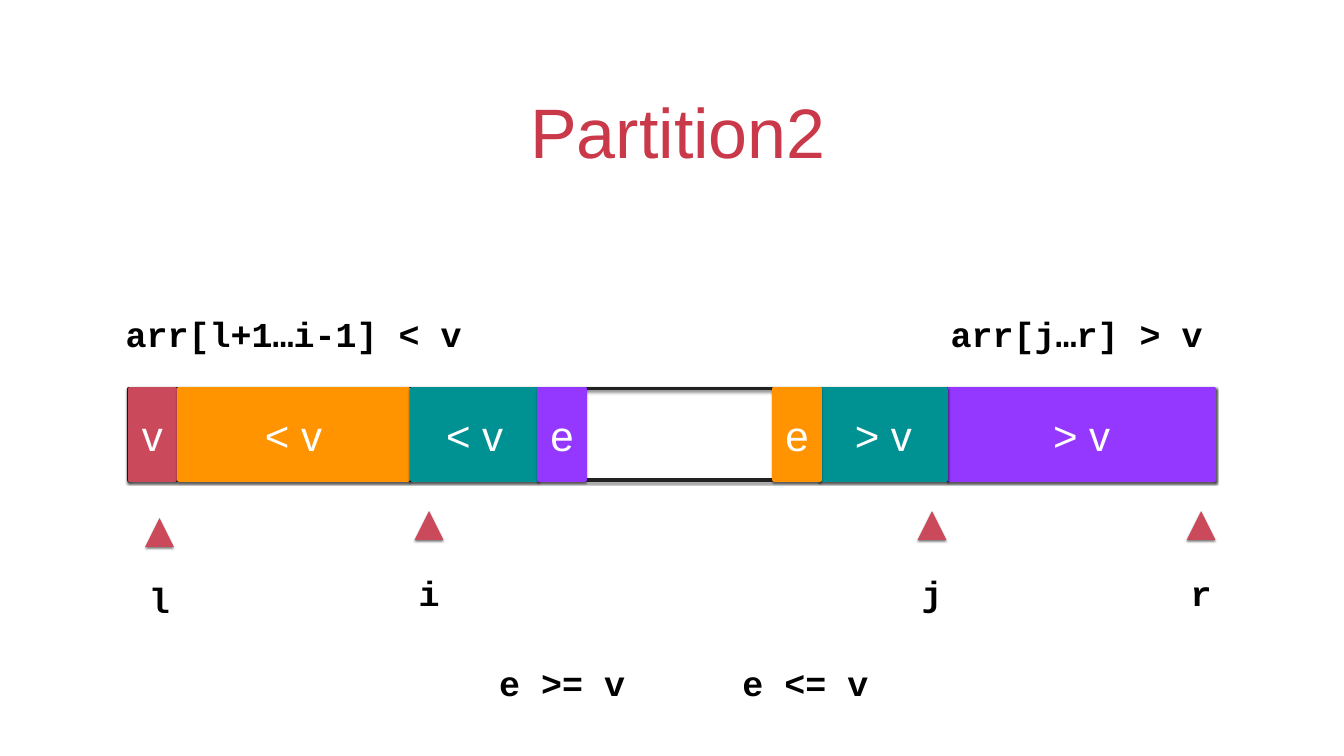
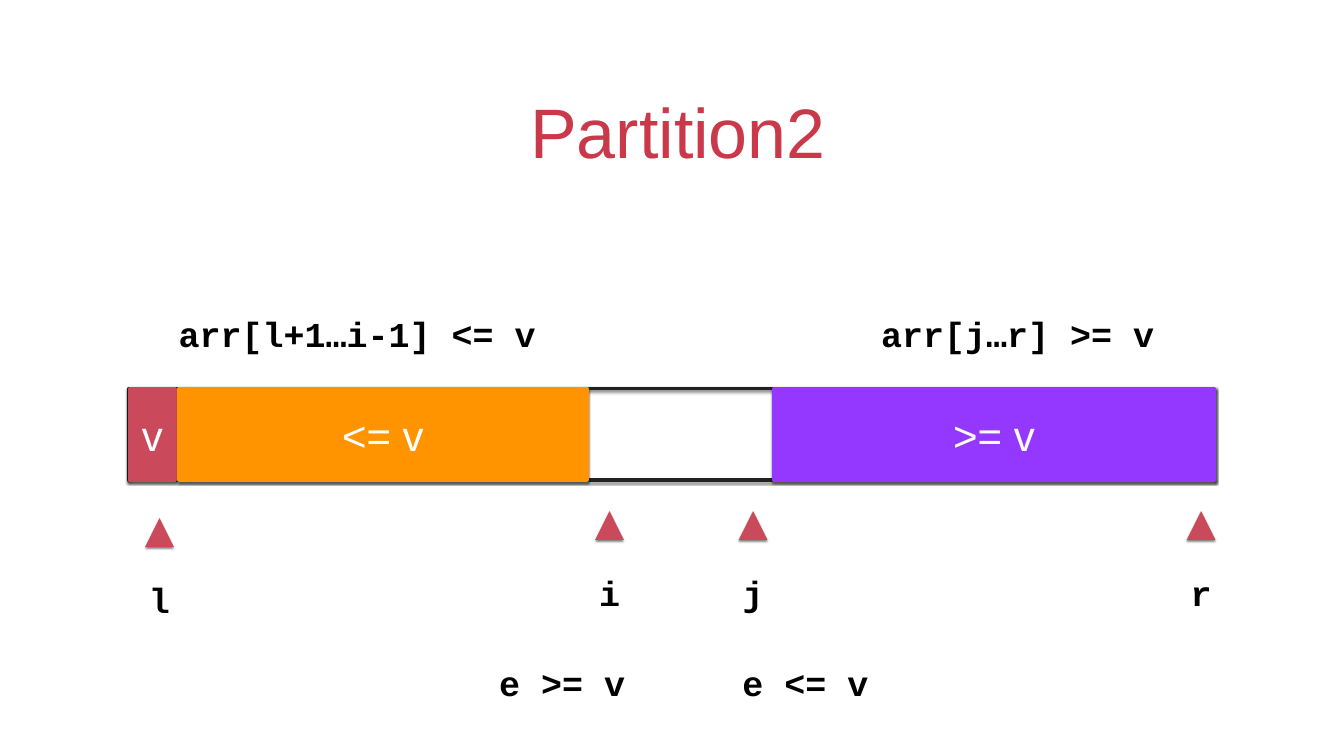
from lxml import etree
from pptx import Presentation
from pptx.dml.color import RGBColor
from pptx.enum import shapes, text
from pptx.oxml import ns
from pptx.util import Inches, Pt

TITLE_RED = RGBColor(0xC9, 0x39, 0x4A)
RED = RGBColor(0xCA, 0x49, 0x5A)
ORANGE = RGBColor(0xFF, 0x93, 0x00)
PURPLE = RGBColor(0x94, 0x37, 0xFF)
TEAL = RGBColor(0x00, 0x91, 0x93)
FRAME_GREY = RGBColor(0x21, 0x21, 0x21)
BLACK = RGBColor(0, 0, 0)
WHITE = RGBColor(255, 255, 255)

BODY_FONT, CODE_FONT = "Arial", "Courier New"
INSET = 0.06
BAR_TOP, BAR_HEIGHT = 7.71, 1.81
FRAME_LEFT, FRAME_WIDTH = 2.56, 21.54
RANGE_TOP, CONDITION_TOP, LABEL_HEIGHT = 6.16, 13.08, 0.92
POINTER_TOP, POINTER_WIDTH, POINTER_HEIGHT = 10.14, 0.57, 0.57
POINTER_LABEL_DROP, POINTER_LABEL_WIDTH = 1.16, 0.54

TITLE = "Partition2"
# Cells: text, left, width, colour
PIVOT = ("v", 2.57, 0.91, RED)
# Pointers: name, left, top
END_POINTERS = [("r", 23.55, POINTER_TOP), ("l", 2.88, 10.28)]
# Labels: text, left, width
CONDITIONS = [("e >= v", 9.84, 2.63), ("e <= v", 14.67, 2.63)]

SLIDES = [
    {
        "cells": [
            PIVOT,
            ("< v", 3.55, 4.55, ORANGE),
            ("> v", 18.83, 5.27, PURPLE),
            ("< v", 8.17, 2.5, TEAL),
            ("e", 10.7, 0.91, PURPLE),
            ("> v", 16.28, 2.5, TEAL),
            ("e", 15.36, 0.91, ORANGE),
        ],
        "ranges": [("arr[l+1…i-1] < v", 2.04, 7.58),
                   ("arr[j…r] > v", 18.56, 5.61)],
        "pointers": [("j", 18.21, POINTER_TOP), ("i", 8.23, POINTER_TOP)],
    },
    {
        "cells": [
            PIVOT,
            ("<= v", 3.55, 8.1, ORANGE),
            (">= v", 15.35, 8.75, PURPLE),
        ],
        "ranges": [("arr[l+1…i-1] <= v", 3.3, 7.58),
                   ("arr[j…r] >= v", 17.39, 5.61)],
        "pointers": [("j", 14.66, POINTER_TOP), ("i", 11.81, POINTER_TOP)],
    },
]


def add_shadow(shape):
    """Give a shape a soft half-transparent shadow straight below it."""
    shape.shadow.inherit = False
    effects = shape._element.spPr.find(ns.qn("a:effectLst"))
    shadow = etree.SubElement(
        effects, ns.qn("a:outerShdw"), blurRad=str(Pt(3)), dist=str(Pt(2)),
        dir="5400000", rotWithShape="0")
    colour = etree.SubElement(shadow, ns.qn("a:srgbClr"), val=str(BLACK))
    etree.SubElement(colour, ns.qn("a:alpha"), val="50000")


def write(shape, content, size, font, colour, bold=False, wrap=True,
          anchor=text.MSO_ANCHOR.MIDDLE):
    """Write one centred run into a shape and return its paragraph."""
    frame = shape.text_frame
    frame.word_wrap = wrap
    frame.vertical_anchor = anchor
    frame.margin_left = frame.margin_right = Inches(INSET)
    frame.margin_top = frame.margin_bottom = Inches(INSET)
    paragraph = frame.paragraphs[0]
    paragraph.alignment = text.PP_ALIGN.CENTER
    run = paragraph.add_run()
    run.text = content
    run.font.size = Pt(size)
    run.font.name = font
    run.font.bold = bold
    run.font.color.rgb = colour
    return paragraph


def add_title(slide):
    """Add the large red title."""
    box = slide.shapes.add_textbox(
        Inches(1.94), Inches(1.27), Inches(22.78), Inches(2.22))
    paragraph = write(box, TITLE, 100, BODY_FONT, TITLE_RED,
                      anchor=text.MSO_ANCHOR.BOTTOM)
    paragraph._p.get_or_add_pPr().set("indent", str(Inches(0.25)))


def add_bar_box(slide, left, width, line_colour):
    """Add one rectangle at the height of the array bar."""
    box = slide.shapes.add_shape(
        shapes.MSO_SHAPE.RECTANGLE, Inches(left), Inches(BAR_TOP),
        Inches(width), Inches(BAR_HEIGHT))
    box.fill.background()
    box.line.color.rgb = line_colour
    box.line.width = Pt(5)
    add_shadow(box)
    return box


def add_cell(slide, content, left, width, colour):
    """Add a filled part of the array bar with its text."""
    cell = add_bar_box(slide, left, width, colour)
    cell.fill.solid()
    cell.fill.fore_color.rgb = colour
    write(cell, content, 60, BODY_FONT, WHITE)


def add_code_label(container, content, left, top, width, wrap=False):
    """Add a bold monospaced label to a slide or group."""
    box = container.shapes.add_textbox(
        Inches(left), Inches(top), Inches(width), Inches(LABEL_HEIGHT))
    write(box, content, 50, CODE_FONT, BLACK, bold=True, wrap=wrap)
    box.text_frame.auto_size = text.MSO_AUTO_SIZE.SHAPE_TO_FIT_TEXT


def add_pointer(slide, name, left, top):
    """Add a grouped index marker: a triangle with its name below."""
    group = slide.shapes.add_group_shape()
    right, bottom = left + POINTER_WIDTH, top + POINTER_HEIGHT
    builder = group.shapes.build_freeform(
        Inches(left + POINTER_WIDTH / 2), Inches(top))
    builder.add_line_segments([(Inches(right), Inches(bottom)),
                               (Inches(left), Inches(bottom))])
    triangle = builder.convert_to_shape()
    triangle.fill.solid()
    triangle.fill.fore_color.rgb = RED
    triangle.line.fill.background()
    add_shadow(triangle)
    label_left = left + (POINTER_WIDTH - POINTER_LABEL_WIDTH) / 2
    add_code_label(group, name, label_left, top + POINTER_LABEL_DROP,
                   POINTER_LABEL_WIDTH)


def add_partition_slide(presentation, content):
    """Build one slide showing a state of the partition."""
    slide = presentation.slides.add_slide(presentation.slide_layouts[6])
    slide.background.fill.solid()
    slide.background.fill.fore_color.rgb = WHITE
    add_title(slide)
    add_bar_box(slide, FRAME_LEFT, FRAME_WIDTH, FRAME_GREY)
    for cell in content["cells"]:
        add_cell(slide, *cell)
    for label, left, width in content["ranges"]:
        add_code_label(slide, label, left, RANGE_TOP, width, wrap=True)
    for pointer in content["pointers"] + END_POINTERS:
        add_pointer(slide, *pointer)
    for label, left, width in CONDITIONS:
        add_code_label(slide, label, left, CONDITION_TOP, width)


presentation = Presentation()
presentation.slide_width = Inches(26.67)
presentation.slide_height = Inches(15)
for slide_content in SLIDES:
    add_partition_slide(presentation, slide_content)
presentation.save("out.pptx")
